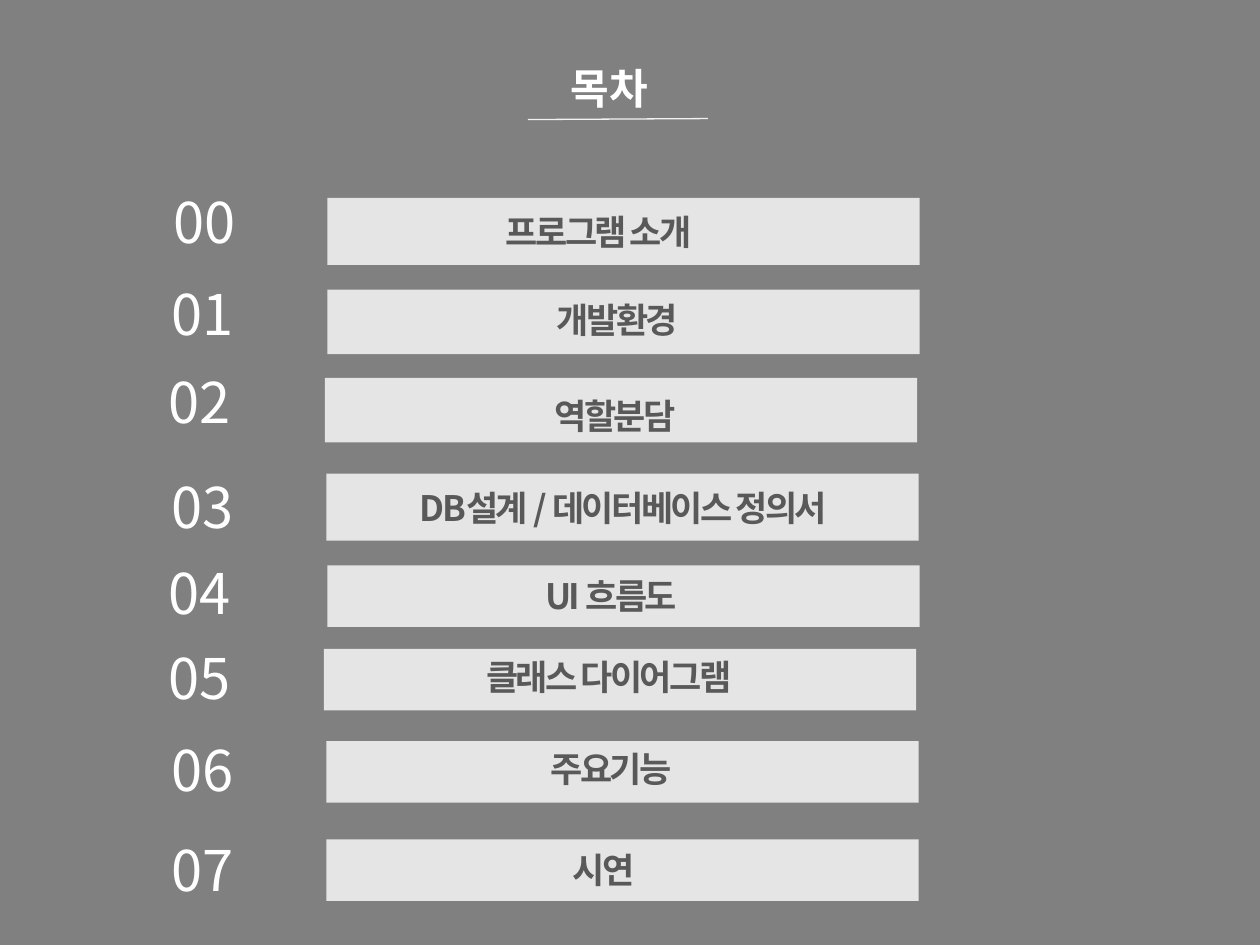
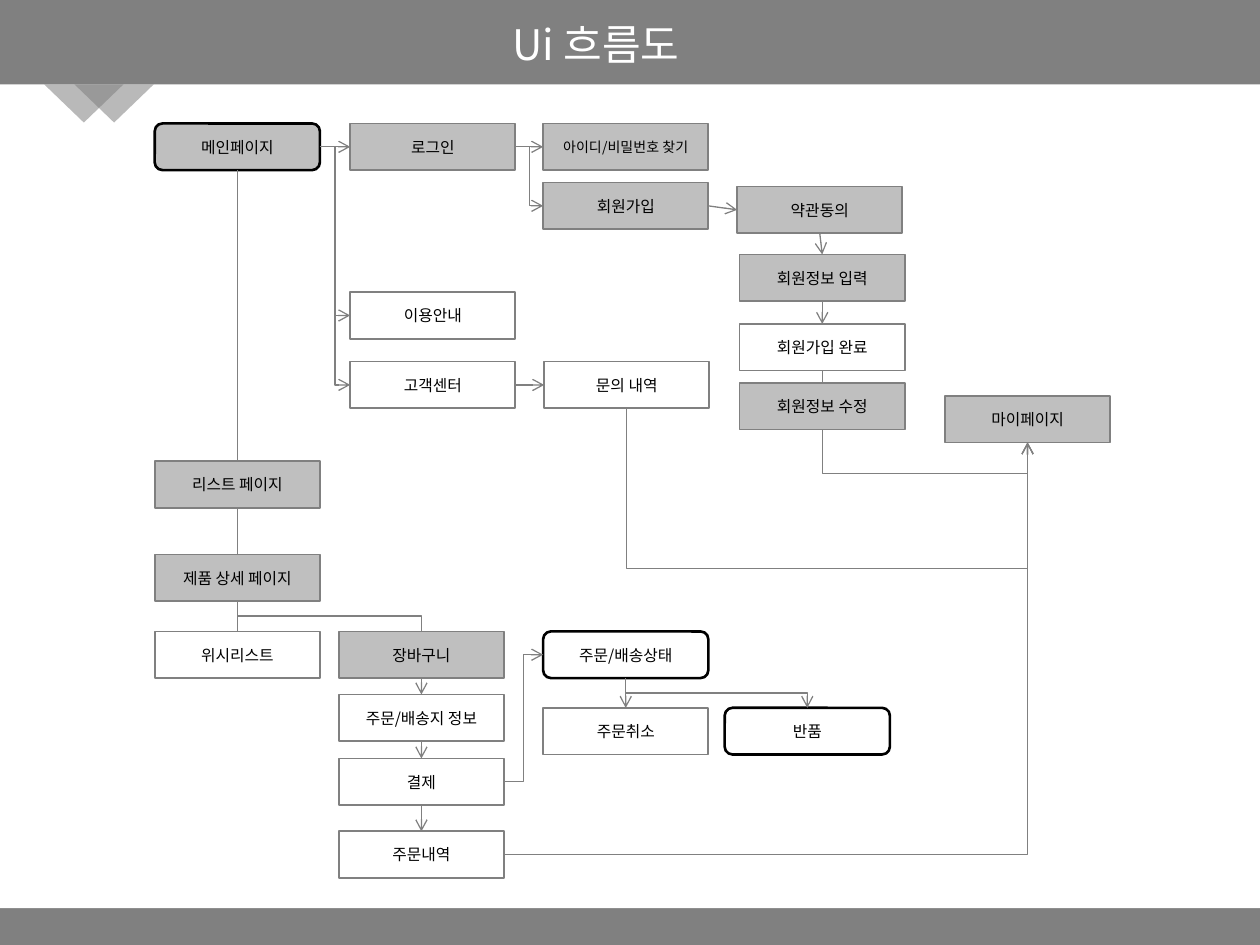
from lxml.etree import SubElement
from pptx import Presentation
from pptx.dml.color import RGBColor
from pptx.enum.shapes import MSO_CONNECTOR, MSO_SHAPE
from pptx.enum.text import MSO_ANCHOR, MSO_AUTO_SIZE, PP_ALIGN
from pptx.oxml.ns import qn
from pptx.util import Cm, Pt

FONT = "Noto Sans CJK KR"
COLORS = {
    "grey": "808080",
    "white": "FFFFFF",
    "silver": "BFBFBF",
    "black": "000000",
    "label": "595959",
    "rule": "F2F2F2",
}
TOP, LEFT, BOTTOM, RIGHT = range(4)

# Contents: number, its left and top; bar left, top, height; label, its centre and top (cm)
CONTENTS = [
    ("00", 3.25, 3.66, 6.6, 3.99, 1.35, "프로그램 소개", 12.07, 4.11),
    ("01", 3.2, 5.51, 6.6, 5.84, 1.3, "개발환경", 12.45, 5.89),
    ("02", 3.15, 7.29, 6.55, 7.62, 1.3, "역할분담", 12.4, 7.82),
    ("03", 3.2, 9.4, 6.58, 9.55, 1.35, "DB설계 / 데이터베이스 정의서", 12.57, 9.68),
    ("04", 3.15, 11.13, 6.6, 11.4, 1.24, "UI 흐름도", 12.32, 11.46),
    ("05", 3.15, 12.85, 6.53, 13.08, 1.24, "클래스 다이어그램", 12.27, 13.08),
    ("06", 3.2, 14.71, 6.58, 14.94, 1.24, "주요기능", 12.32, 14.94),
    ("07", 3.2, 16.71, 6.58, 16.92, 1.24, "시연", 12.17, 16.99),
]
BAR_WIDTH = 11.94

# Flow boxes: label, left, top (cm), fill, emphasised
STEP_WIDTH, STEP_HEIGHT = 3.33, 0.94
STEPS = [
    ("메인페이지", 3.12, 2.49, "silver", True),
    ("로그인", 7.06, 2.49, "silver", False),
    ("아이디/비밀번호 찾기", 10.95, 2.49, "silver", False),
    ("회원가입", 10.95, 3.68, "silver", False),
    ("약관동의", 14.86, 3.76, "silver", False),
    ("회원정보 입력", 14.91, 5.13, "silver", False),
    ("회원가입 완료", 14.91, 6.53, "white", False),
    ("회원정보 수정", 14.91, 7.72, "silver", False),
    ("마이페이지", 19.05, 7.98, "silver", False),
    ("이용안내", 7.06, 5.89, "white", False),
    ("고객센터", 7.06, 7.29, "white", False),
    ("문의 내역", 10.97, 7.29, "white", False),
    ("리스트 페이지", 3.12, 9.3, "silver", False),
    ("제품 상세 페이지", 3.12, 11.18, "silver", False),
    ("위시리스트", 3.12, 12.73, "white", False),
    ("장바구니", 6.83, 12.73, "silver", False),
    ("주문/배송지 정보", 6.83, 14, "white", False),
    ("결제", 6.83, 15.29, "white", False),
    ("주문내역", 6.83, 16.76, "white", False),
    ("주문/배송상태", 10.95, 12.73, "white", True),
    ("주문취소", 10.95, 14.27, "white", False),
    ("반품", 14.61, 14.27, "white", True),
]
SMALL_STEP = "아이디/비밀번호 찾기"

# Straight links: from, to, arrowhead
ACROSS = [
    ("메인페이지", "로그인", True),
    ("로그인", "아이디/비밀번호 찾기", True),
    ("회원가입", "약관동의", True),
    ("고객센터", "문의 내역", True),
]
DOWN = [
    ("메인페이지", "리스트 페이지", False),
    ("리스트 페이지", "제품 상세 페이지", False),
    ("제품 상세 페이지", "위시리스트", False),
    ("장바구니", "주문/배송지 정보", True),
    ("주문/배송지 정보", "결제", True),
    ("결제", "주문내역", True),
    ("주문/배송상태", "주문취소", True),
    ("약관동의", "회원정보 입력", True),
    ("회원정보 입력", "회원가입 완료", True),
    ("회원가입 완료", "회원정보 수정", False),
]

# Bent links leaving sideways: from, to, side entered
BENT_ACROSS = [
    ("메인페이지", "이용안내", LEFT),
    ("메인페이지", "고객센터", LEFT),
    ("로그인", "회원가입", LEFT),
    ("결제", "주문/배송상태", LEFT),
    ("주문내역", "마이페이지", BOTTOM),
]
# Bent links leaving downwards: from, to, side entered, height of the turn (cm), arrowhead
BENT_DOWN = [
    ("제품 상세 페이지", "장바구니", TOP, 12.42, False),
    ("주문/배송상태", "반품", TOP, 13.97, True),
    ("회원정보 수정", "마이페이지", BOTTOM, 9.55, True),
    ("문의 내역", "마이페이지", BOTTOM, 11.46, True),
]


def rgb(name):
    return RGBColor.from_string(COLORS[name])


def write(frame, text, size, color, align=PP_ALIGN.LEFT, bold=False, spacing=None):
    frame.word_wrap = True
    frame.text = text
    para = frame.paragraphs[0]
    para.alignment = align
    span = para.runs[0]
    span.font.size, span.font.bold, span.font.name = Pt(size), bold, FONT
    span.font.color.rgb = rgb(color)
    properties = span.font._element
    SubElement(properties, qn("a:ea"), typeface=FONT)
    if spacing is not None:
        properties.set("spc", str(round(spacing * 100)))


def write_growing(shape, *args, **options):
    frame = shape.text_frame
    write(frame, *args, **options)
    frame.vertical_anchor = MSO_ANCHOR.TOP
    frame.auto_size = MSO_AUTO_SIZE.SHAPE_TO_FIT_TEXT


def add_text(page, left, top, width, height, *args, **options):
    box = page.shapes.add_textbox(Cm(left), Cm(top), Cm(width), Cm(height))
    write_growing(box, *args, **options)


def add_page(deck, title, left, top, width, **options):
    page = deck.slides.add_slide(deck.slide_layouts[5])
    page.background.fill.solid()
    page.background.fill.fore_color.rgb = rgb("grey")
    box = page.shapes.title
    box.left, box.top, box.width, box.height = Cm(left), Cm(top), Cm(width), Cm(1.27)
    write_growing(box, title, 24, "white", **options)
    return page


def add_block(page, kind, left, top, width, height, fill, opacity=100):
    block = page.shapes.add_shape(kind, Cm(left), Cm(top), Cm(width), Cm(height))
    block.shadow.inherit = False
    block.line.fill.background()
    block.fill.solid()
    block.fill.fore_color.rgb = rgb(fill)
    if opacity < 100:
        color = block._element.spPr.find(qn("a:solidFill"))[0]
        SubElement(color, qn("a:alpha"), val=str(opacity * 1000))
    return block


def add_line(page, kind, start, end, color="grey", arrow=False):
    line = page.shapes.add_connector(kind, *(round(v) for v in (*start, *end)))
    line.line.color.rgb = rgb(color)
    line.line.width = Pt(0.75)
    if arrow:
        SubElement(line.line._get_or_add_ln(), qn("a:tailEnd"), type="arrow")
    SubElement(line._element.spPr, qn("a:effectLst"))
    return line


def side_point(box, side):
    x = box.left + box.width * {LEFT: 0, RIGHT: 1}.get(side, 0.5)
    y = box.top + box.height * {TOP: 0, BOTTOM: 1}.get(side, 0.5)
    return x, y


def join(page, start_box, start_side, end_box, end_side, arrow):
    line = add_line(page, MSO_CONNECTOR.STRAIGHT, side_point(start_box, start_side),
                    side_point(end_box, end_side), arrow=arrow)
    line.begin_connect(start_box, start_side)
    line.end_connect(end_box, end_side)


def bend_down(page, start, end, turn, arrow):
    """Elbow that leaves downwards: a sideways elbow, mirrored and turned by 270 degrees."""
    (x1, y1), (x2, y2) = start, end
    middle_x, middle_y = (x1 + x2) / 2, (y1 + y2) / 2
    half_x, half_y = (x2 - x1) / 2, (y2 - y1) / 2
    line = add_line(page, MSO_CONNECTOR.ELBOW, (middle_x - half_y, middle_y - half_x),
                    (middle_x + half_y, middle_y + half_x), arrow=arrow)
    frame = line._element.spPr.find(qn("a:xfrm"))
    frame.set("rot", str(270 * 60000))
    frame.set("flipH", "1")
    guides = line._element.spPr.find(qn("a:prstGeom")).find(qn("a:avLst"))
    share = round((Cm(turn) - y1) / (y2 - y1) * 100000)
    SubElement(guides, qn("a:gd"), name="adj1", fmla=f"val {share}")


def build_contents(deck):
    page = add_page(deck, "목차", 11.25, 1.14, 2.41, bold=True)
    add_line(page, MSO_CONNECTOR.STRAIGHT, (Cm(10.64), Cm(2.41)), (Cm(14.27), Cm(2.39)), "rule")
    for number, num_x, num_y, bar_x, bar_y, bar_height, label, center, label_y in CONTENTS:
        add_text(page, num_x, num_y, 2.9, 1.63, number, 32, "white")
        add_block(page, MSO_SHAPE.RECTANGLE, bar_x, bar_y, BAR_WIDTH, bar_height, "white", 80)
        add_text(page, center - BAR_WIDTH / 2, label_y, BAR_WIDTH, 1.12, label, 20, "label",
                 align=PP_ALIGN.CENTER, bold=True, spacing=-1.5)


def build_flow(deck):
    page = add_page(deck, "Ui 흐름도", 8.76, 0.25, 6.5, align=PP_ALIGN.CENTER)

    # White panel between the bands, with two overlapping tabs
    add_block(page, MSO_SHAPE.RECTANGLE, 0, 1.7, 25.4, 16.61, "white")
    for left in (0.89, 1.5):
        tab = add_block(page, MSO_SHAPE.ISOSCELES_TRIANGLE, left, 1.7, 1.6, 0.77, "grey", 55)
        tab.rotation = 180

    # Steps
    steps = {}
    for label, left, top, fill, strong in STEPS:
        kind = MSO_SHAPE.ROUNDED_RECTANGLE if strong else MSO_SHAPE.RECTANGLE
        box = add_block(page, kind, left, top, STEP_WIDTH, STEP_HEIGHT, fill)
        box.line.color.rgb = rgb("black" if strong else "grey")
        box.line.width = Pt(1.5 if strong else 1)
        size = 8 if label == SMALL_STEP else 9
        write(box.text_frame, label, size, "black", align=PP_ALIGN.CENTER)
        box.text_frame.vertical_anchor = MSO_ANCHOR.MIDDLE
        steps[label] = box

    # Straight links
    for links, leave, enter in ((ACROSS, RIGHT, LEFT), (DOWN, BOTTOM, TOP)):
        for start, end, arrow in links:
            join(page, steps[start], leave, steps[end], enter, arrow)

    # Bent links
    for start, end, enter in BENT_ACROSS:
        line = add_line(page, MSO_CONNECTOR.ELBOW, side_point(steps[start], RIGHT),
                        side_point(steps[end], enter), arrow=True)
        if enter == BOTTOM:
            line._element.spPr.find(qn("a:prstGeom")).set("prst", "bentConnector2")
    for start, end, enter, turn, arrow in BENT_DOWN:
        bend_down(page, side_point(steps[start], BOTTOM), side_point(steps[end], enter),
                  turn, arrow)


def main():
    deck = Presentation()
    deck.slide_width, deck.slide_height = Cm(25.4), Cm(19.05)
    build_contents(deck)
    build_flow(deck)
    deck.save("out.pptx")


if __name__ == "__main__":
    main()
